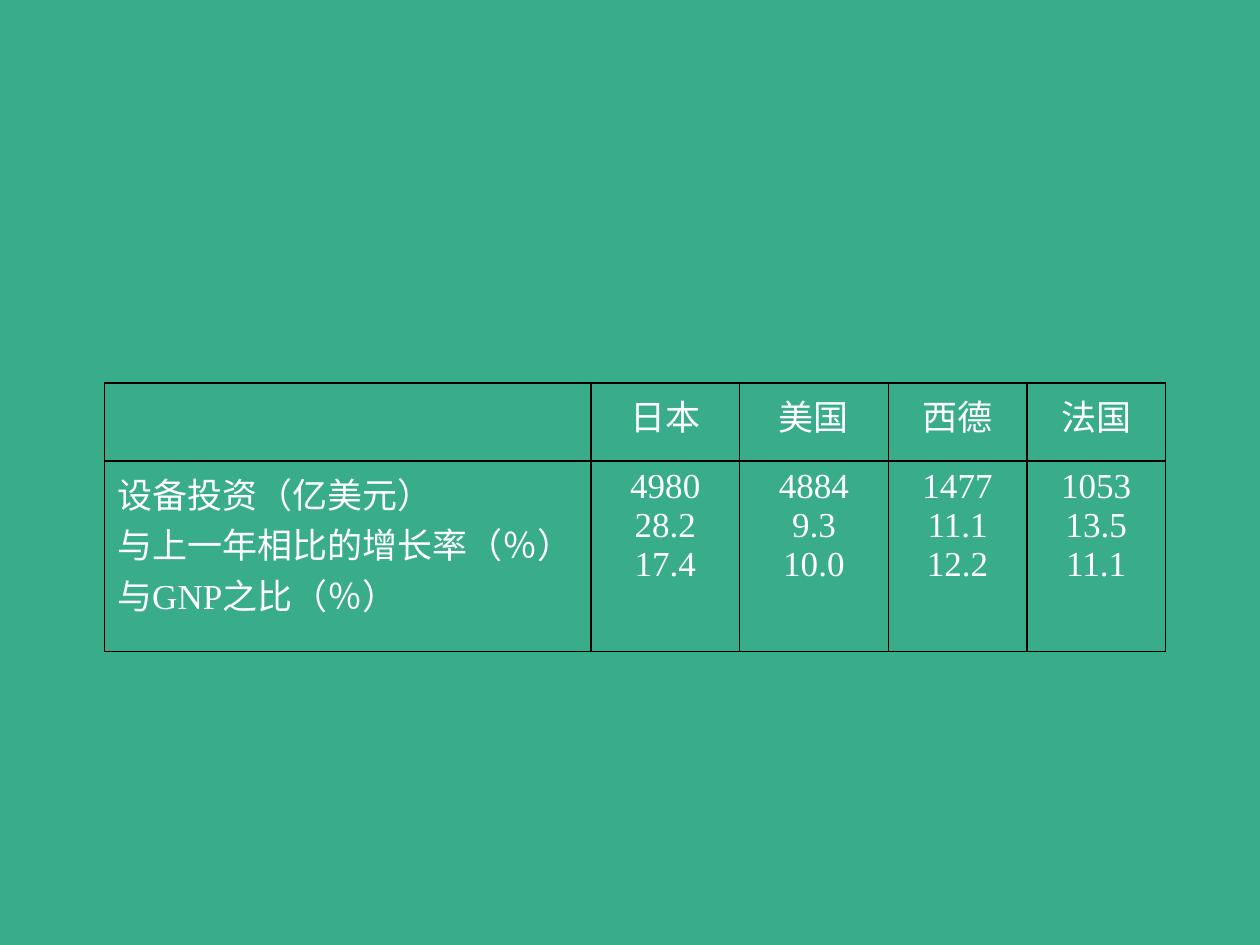
from lxml import etree
from pptx import Presentation
from pptx.dml.color import RGBColor
from pptx.enum.text import PP_ALIGN
from pptx.oxml.ns import qn
from pptx.util import Inches, Pt

LEFT, CENTER = PP_ALIGN.LEFT, PP_ALIGN.CENTER
GREEN = RGBColor(0x38, 0xAC, 0x8B)
WHITE = RGBColor(0xFF, 0xFF, 0xFF)
BLACK = RGBColor(0x00, 0x00, 0x00)
FONT = "Times New Roman"
BLANK_LAYOUT = 6

COLUMN_WIDTHS = [3.86, 1.18, 1.18, 1.1, 1.1]
ROW_HEIGHTS = [0.62, 1.51]
MEASURES = ["设备投资（亿美元）", "与上一年相比的增长率（％）", "与GNP之比（％）"]
COUNTRIES = {
    "日本": ["4980", "28.2", "17.4"],
    "美国": ["4884", "9.3", "10.0"],
    "西德": ["1477", "11.1", "12.2"],
    "法国": ["1053", "13.5", "11.1"],
}


def set_borders(cell):
    properties = cell._tc.get_or_add_tcPr()
    for position, side in enumerate(("lnL", "lnR", "lnT", "lnB")):
        line = etree.Element(qn(f"a:{side}"), w=str(Pt(1)))
        fill = etree.SubElement(line, qn("a:solidFill"))
        etree.SubElement(fill, qn("a:srgbClr"), val=str(BLACK))
        properties.insert(position, line)


def fill_cell(cell, lines, alignment):
    cell.fill.background()
    set_borders(cell)
    frame = cell.text_frame
    for index, line in enumerate(lines):
        para = frame.add_paragraph() if index else frame.paragraphs[0]
        para.alignment = alignment
        span = para.add_run()
        span.text = line
        span.font.name = FONT
        span.font.size = Pt(20)
        span.font.color.rgb = WHITE


def add_investment_table(page, left, top, width, height):
    table = page.shapes.add_table(
        len(ROW_HEIGHTS), len(COLUMN_WIDTHS), left, top, width, height
    ).table
    table.first_row = False
    table.horz_banding = False
    for column, column_width in zip(table.columns, COLUMN_WIDTHS):
        column.width = Inches(column_width)
    for row, row_height in zip(table.rows, ROW_HEIGHTS):
        row.height = Inches(row_height)

    fill_cell(table.cell(0, 0), [], LEFT)
    fill_cell(table.cell(1, 0), MEASURES, LEFT)
    for index, (country, values) in enumerate(COUNTRIES.items(), start=1):
        fill_cell(table.cell(0, index), [country], CENTER)
        fill_cell(table.cell(1, index), values, CENTER)


def main():
    deck = Presentation()
    deck.slide_width, deck.slide_height = Inches(10), Inches(7.5)
    page = deck.slides.add_slide(deck.slide_layouts[BLANK_LAYOUT])
    page.background.fill.solid()
    page.background.fill.fore_color.rgb = GREEN
    add_investment_table(
        page,
        Inches(0.83),
        Inches(3.04),
        Inches(sum(COLUMN_WIDTHS)),
        Inches(sum(ROW_HEIGHTS)),
    )
    deck.save("out.pptx")


if __name__ == "__main__":
    main()
